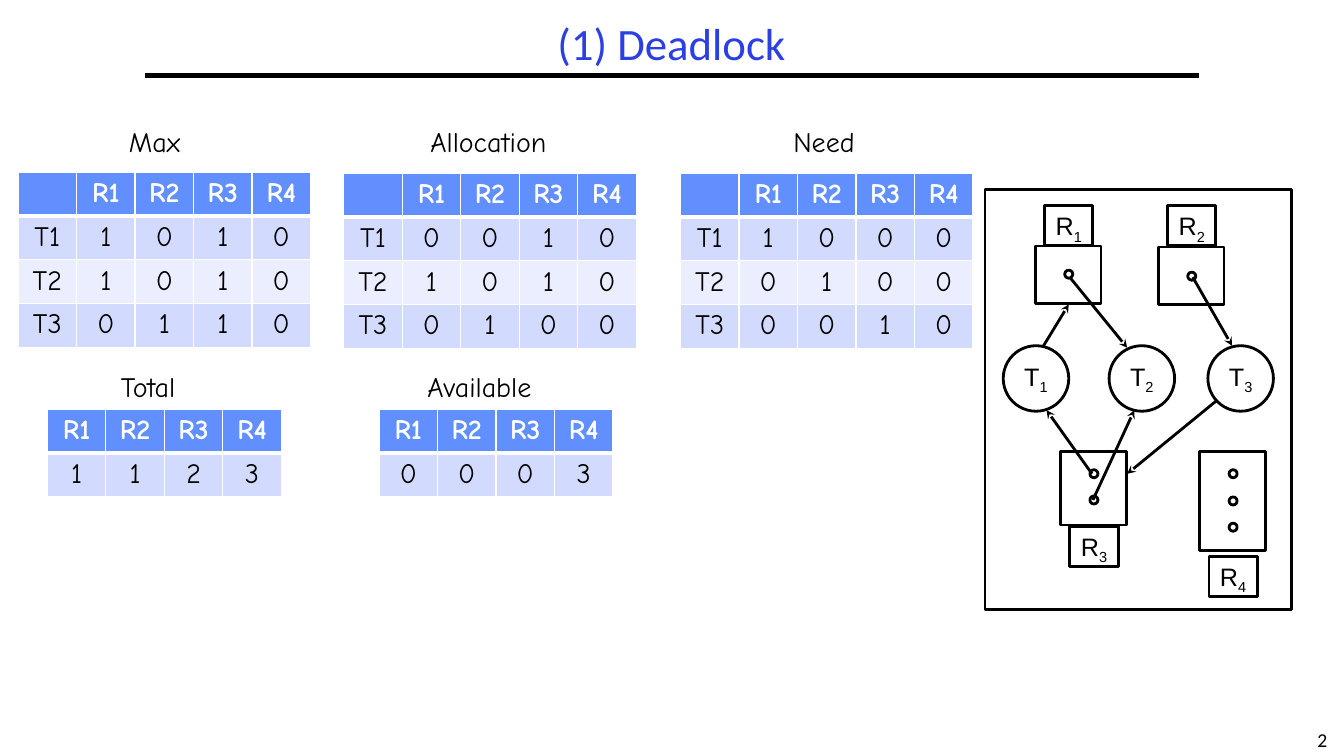
from lxml.etree import SubElement
from pptx import Presentation
from pptx.dml.color import RGBColor
from pptx.enum.shapes import MSO_CONNECTOR, MSO_SHAPE
from pptx.enum.text import MSO_ANCHOR, MSO_AUTO_SIZE, PP_ALIGN
from pptx.oxml import parse_xml
from pptx.oxml.ns import nsdecls, qn
from pptx.util import Pt

PX = 9144
HUES = {
    "ink": "000000",
    "paper": "FFFFFF",
    "title": "2A40E2",
    "head": "618FFD",
    "odd": "D2DBFE",
    "even": "EAEEFF",
}


def hue(name):
    return RGBColor.from_string(HUES[name])


class Deck:
    def __init__(self, wide, high):
        self.file = Presentation()
        self.file.slide_width = wide * PX
        self.file.slide_height = high * PX
        self.slide = self.file.slides.add_slide(self.file.slide_layouts[5])
        self.pen = self.slide.shapes

    def style(self, para, face, size, color="ink", bold=False, align=PP_ALIGN.CENTER):
        para.alignment = align
        font = para.font
        font.name, font.size, font.bold = face, Pt(size), bold
        font.color.rgb = hue(color)

    def title(self, text, x, y, w, h):
        box = self.slide.shapes.title
        box.left, box.top, box.width, box.height = (n * PX for n in (x, y, w, h))
        frame = box.text_frame
        frame.text = text
        frame.auto_size = MSO_AUTO_SIZE.NONE
        frame.vertical_anchor = MSO_ANCHOR.MIDDLE
        para = frame.paragraphs[0]
        para.line_spacing = 0.9
        self.style(para, "Calibri", 32, "title")

    def label(self, text, x, y, w, h, face="Comic Neue", size=20, align=PP_ALIGN.LEFT):
        frame = self.pen.add_textbox(x * PX, y * PX, w * PX, h * PX).text_frame
        frame.word_wrap = False
        frame.text = text
        self.style(frame.paragraphs[0], face, size, align=align)

    def edge(self, cell, side, width):
        cell._tc.get_or_add_tcPr().append(parse_xml(
            f'<a:ln{side} {nsdecls("a")} w="{Pt(width)}"><a:solidFill>'
            f'<a:srgbClr val="{HUES["paper"]}"/></a:solidFill></a:ln{side}>'))

    def table(self, x, y, row, lines):
        col = 58
        wide, high = len(lines[0]), len(lines)
        grid = self.pen.add_table(
            high, wide, x * PX, y * PX, wide * col * PX, high * row * PX).table
        for r, line in enumerate(lines):
            for c, text in enumerate(line):
                cell = grid.cell(r, c)
                self.edge(cell, "L", 1)
                self.edge(cell, "R", 1)
                if r == 0:
                    self.edge(cell, "T", 1)
                self.edge(cell, "B", 1 if r else 3)
                cell.fill.solid()
                fill = "head" if r == 0 else "odd" if r % 2 else "even"
                cell.fill.fore_color.rgb = hue(fill)
                cell.text = text
                self.style(cell.text_frame.paragraphs[0], "Comic Neue", 20,
                           "ink" if r else "paper", r == 0)

    def shape(self, kind, x, y, w, h, text="", anchor=MSO_ANCHOR.TOP):
        item = self.pen.add_shape(kind, x * PX, y * PX, w * PX, h * PX)
        item.shadow.inherit = False
        item.fill.solid()
        item.fill.fore_color.rgb = hue("paper")
        item.line.color.rgb = hue("ink")
        item.line.width = Pt(2)
        if text:
            frame = item.text_frame
            frame.word_wrap = False
            frame.vertical_anchor = anchor
            para = frame.paragraphs[0]
            self.style(para, "Arial", 18)
            para.add_run().text = text[0]
            sub = para.add_run()
            sub.text = text[1:]
            sub._r.get_or_add_rPr().set("baseline", "-25000")

    def box(self, x, y, w, h, text=""):
        self.shape(MSO_SHAPE.RECTANGLE, x, y, w, h, text)

    def ring(self, x, y, size, text=""):
        self.shape(MSO_SHAPE.OVAL, x, y, size, size, text, MSO_ANCHOR.MIDDLE)

    def line(self, x1, y1, x2, y2, width=2, arrow=True):
        link = self.pen.add_connector(
            MSO_CONNECTOR.STRAIGHT, x1 * PX, y1 * PX, x2 * PX, y2 * PX)
        link.line.color.rgb = hue("ink")
        link.line.width = Pt(width)
        if arrow:
            SubElement(link.line._get_or_add_ln(), qn("a:tailEnd"), type="stealth")
        SubElement(link._element.spPr, qn("a:effectLst"))

    def group(self):
        self.pen = self.slide.shapes.add_group_shape().shapes


def main():
    deck = Deck(1333, 750)
    deck.label("2", 1290, 717, 43, 33, "Calibri", 14, PP_ALIGN.CENTER)
    deck.line(144, 75, 1189, 75, 3, False)
    deck.title("(1) Deadlock", 144, 17, 1044, 58)

    heads = ["R1", "R2", "R3", "R4"]
    for name, left, width, x, y, row, data in (
        ("Max", 118, 76, 18, 171, 41, ("1010", "1010", "0110")),
        ("Allocation", 417, 150, 341, 172, 41, ("0010", "1010", "0100")),
        ("Need", 777, 90, 675, 172, 43, ("1000", "0100", "0010")),
    ):
        deck.label(name, left, 119, width, 44)
        rows = [[f"T{n}", *line] for n, line in enumerate(data, 1)]
        deck.table(x, y, row, [["", *heads], *rows])
    for name, left, width, x, row, data in (
        ("Total", 110, 89, 47, 41, "1123"),
        ("Available", 414, 139, 376, 43, "0003"),
    ):
        deck.label(name, left, 362, width, 44)
        deck.table(x, 406, row, [heads, list(data)])

    deck.group()
    deck.box(977, 188, 304, 417)
    for n, x in enumerate((995, 1100, 1198), 1):
        deck.ring(x, 343, 65, f"T{n}")
    for name, x, y, high, tag, dots in (
        ("R1", 1027, 244, 57, 204, (268,)),
        ("R2", 1149, 245, 57, 204, (270,)),
        ("R3", 1052, 448, 73, 522, (466, 492)),
        ("R4", 1190, 448, 98, 552, (466, 493, 519)),
    ):
        deck.box(x, y, 65, high)
        for dot in dots:
            deck.ring(x + 29, dot, 8)
        deck.box(x + 9, tag, 48, 40, name)
    for ends in (
        (1035, 343, 1060, 302),
        (1061, 275, 1118, 345),
        (1183, 275, 1222, 343),
        (1083, 470, 1038, 407),
        (1084, 496, 1125, 407),
        (1206, 398, 1118, 470),
    ):
        deck.line(*ends)
    deck.file.save("out.pptx")


if __name__ == "__main__":
    main()
